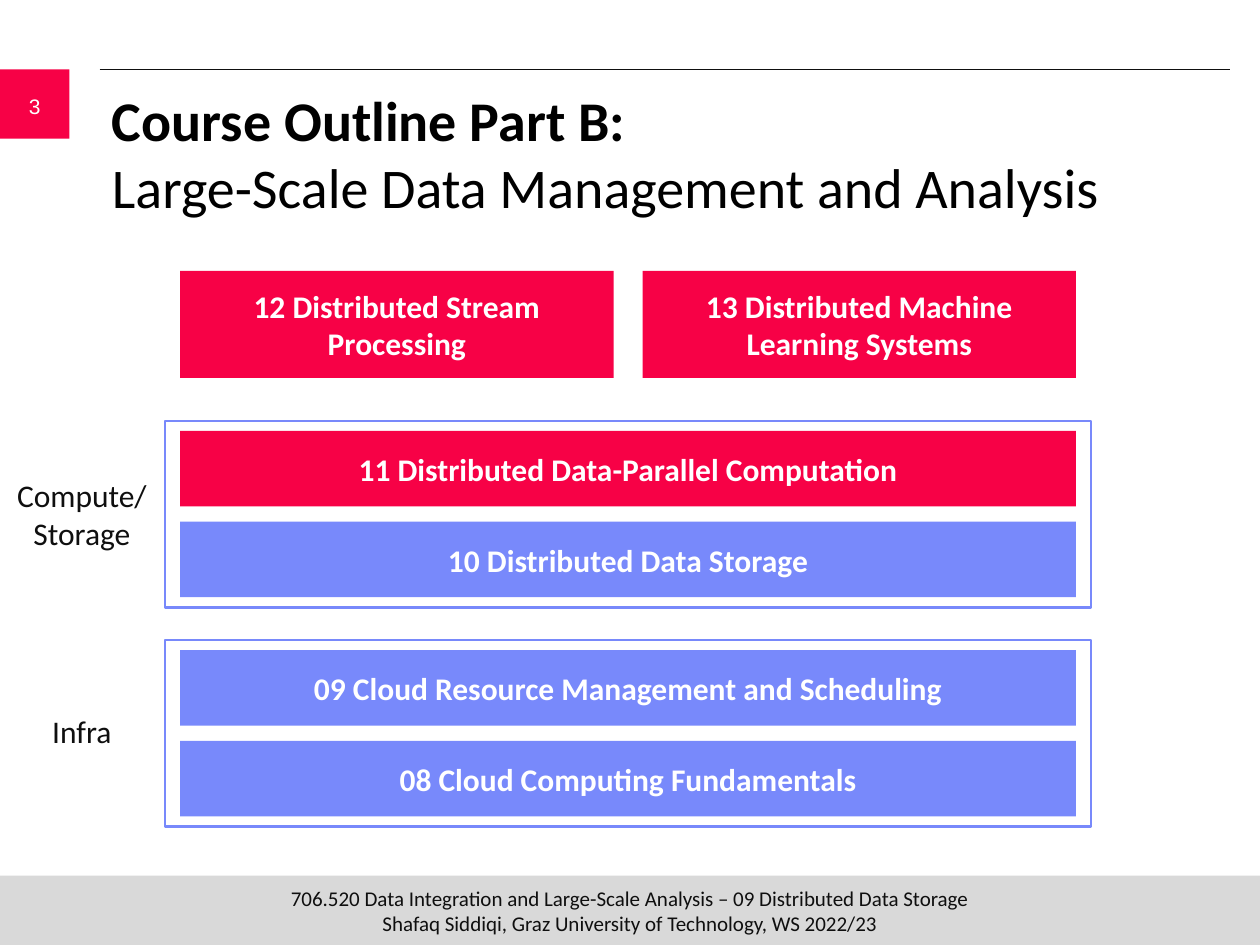
from lxml.etree import SubElement
from pptx import Presentation
from pptx.dml.color import RGBColor
from pptx.enum.shapes import MSO_CONNECTOR, MSO_SHAPE
from pptx.enum.text import MSO_ANCHOR, PP_ALIGN
from pptx.oxml.ns import qn
from pptx.util import Inches, Pt

COLORS = {"red": "F70146", "blue": "7889FB", "grey": "D9D9D9",
          "ink": "0F0F0F", "black": "000000", "white": "FFFFFF"}


def color(name):
    return RGBColor.from_string(COLORS[name])


class OutlinePage:
    """Holds the text style and the current slide."""

    font = "Calibri"

    def __init__(self, page):
        self.page = page

    def fill_text(self, box, lines, size, ink, bold=(), font=None, insets=(0.1, 0.05),
                  align=PP_ALIGN.CENTER, anchor=MSO_ANCHOR.MIDDLE):
        """Fill one paragraph; bold lists the indexes of the bold lines."""
        frame = box.text_frame
        across, down = map(Inches, insets)
        settings = {"word_wrap": True, "vertical_anchor": anchor,
                    "margin_left": across, "margin_right": across,
                    "margin_top": down, "margin_bottom": down}
        for name, value in settings.items():
            setattr(frame, name, value)
        para = frame.paragraphs[0]
        para.alignment = align
        for index, line in enumerate(lines):
            if index:
                para.add_line_break()
            span = para.add_run()
            span.text = line
            style = {"name": font or self.font, "size": Pt(size), "bold": index in bold}
            for name, value in style.items():
                setattr(span.font, name, value)
            span.font.color.rgb = color(ink)

    def rectangle(self, place, fill=None, line=None):
        box = self.page.shapes.add_shape(MSO_SHAPE.RECTANGLE, *map(Inches, place))
        box.shadow.inherit = False
        if fill:
            box.fill.solid()
            box.fill.fore_color.rgb = color(fill)
        else:
            box.fill.background()
        if line:
            box.line.color.rgb = color(line)
            box.line.width = Pt(1.5)
        else:
            box.line.fill.background()
        return box

    def topic(self, place, fill, *lines):
        self.fill_text(self.rectangle(place, fill), lines, 18, "white",
                       bold=range(len(lines)))

    def text(self, place, lines, size, ink, **options):
        box = self.page.shapes.add_textbox(*map(Inches, place))
        self.fill_text(box, lines, size, ink, **options)

    def rule(self, left, right, top):
        line = self.page.shapes.add_connector(
            MSO_CONNECTOR.STRAIGHT, *map(Inches, (left, top, right, top)))
        line.line.color.rgb = color("ink")
        line.line.width = Pt(0.5)
        SubElement(line._element.spPr, qn("a:effectLst"))


def main():
    deck = Presentation()
    deck.slide_width, deck.slide_height = Inches(10), Inches(7.5)
    outline = OutlinePage(deck.slides.add_slide(deck.slide_layouts[6]))

    # Footer, top rule and page number
    footer = (0, 6.95, 10, 0.55)
    outline.rectangle(footer, "grey")
    outline.rule(0.79, 9.76, 0.55)
    outline.rectangle((0, 0.55, 0.55, 0.55), "red")
    outline.text((0, 0.64, 0.55, 0.4), ["3"], 12, "white", font="Arial")
    outline.text(footer, [
        "706.520 Data Integration and Large-Scale Analysis – 09 Distributed Data Storage",
        "Shafaq Siddiqi, Graz University of Technology, WS 2022/23",
    ], 12, "ink", insets=(0, 0))

    # Title
    outline.text((0.79, 0.63, 8.96, 0.83),
                 ["Course Outline Part B:", "Large-Scale Data Management and Analysis"],
                 32, "black", bold=[0], align=PP_ALIGN.LEFT, anchor=MSO_ANCHOR.TOP)

    # Application topics, side by side
    left, width, half = 1.43, 7.11, 3.44
    outline.topic((left, 2.15, half, 0.85), "red", "12 Distributed Stream", "Processing")
    outline.topic((left + width - half, 2.15, half, 0.85), "red",
                  "13 Distributed Machine Learning Systems")

    # Framed layers: frame top, label top, label height, label lines, stacked topics
    layers = [
        (3.34, 3.73, 0.71, ["Compute/", "Storage"],
         [("red", "11 Distributed Data-Parallel Computation"),
          ("blue", "10 Distributed Data Storage")]),
        (5.08, 5.6, 0.4, ["Infra"],
         [("blue", "09 Cloud Resource Management and Scheduling"),
          ("blue", "08 Cloud Computing Fundamentals")]),
    ]
    for top, label_top, label_height, label, topics in layers:
        outline.rectangle((1.31, top, 7.35, 1.48), line="blue")
        for row, (fill, name) in enumerate(topics):
            outline.topic((left, top + 0.08 + row * 0.72, width, 0.6), fill, name)
        outline.text((0.02, label_top, 1.26, label_height), label, 18, "ink",
                     insets=(0, 0.05), anchor=MSO_ANCHOR.TOP)

    deck.save("out.pptx")


if __name__ == "__main__":
    main()
